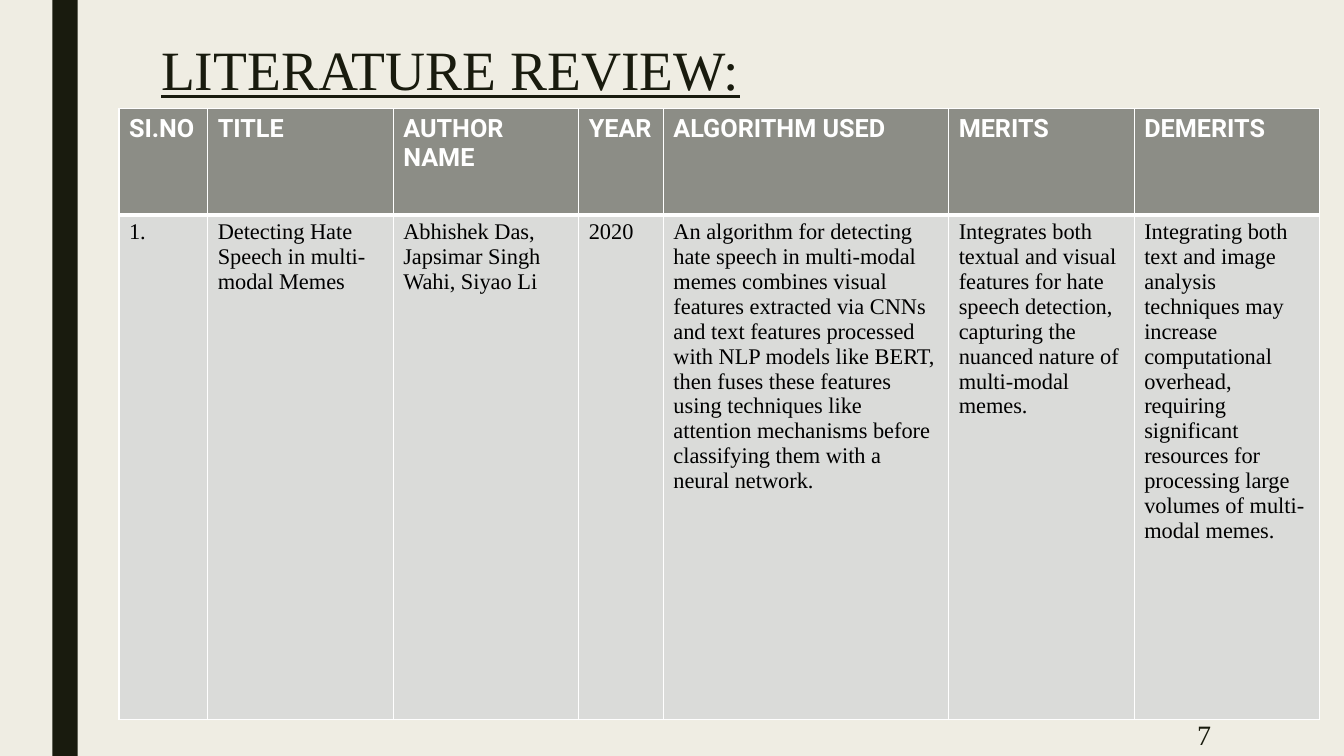
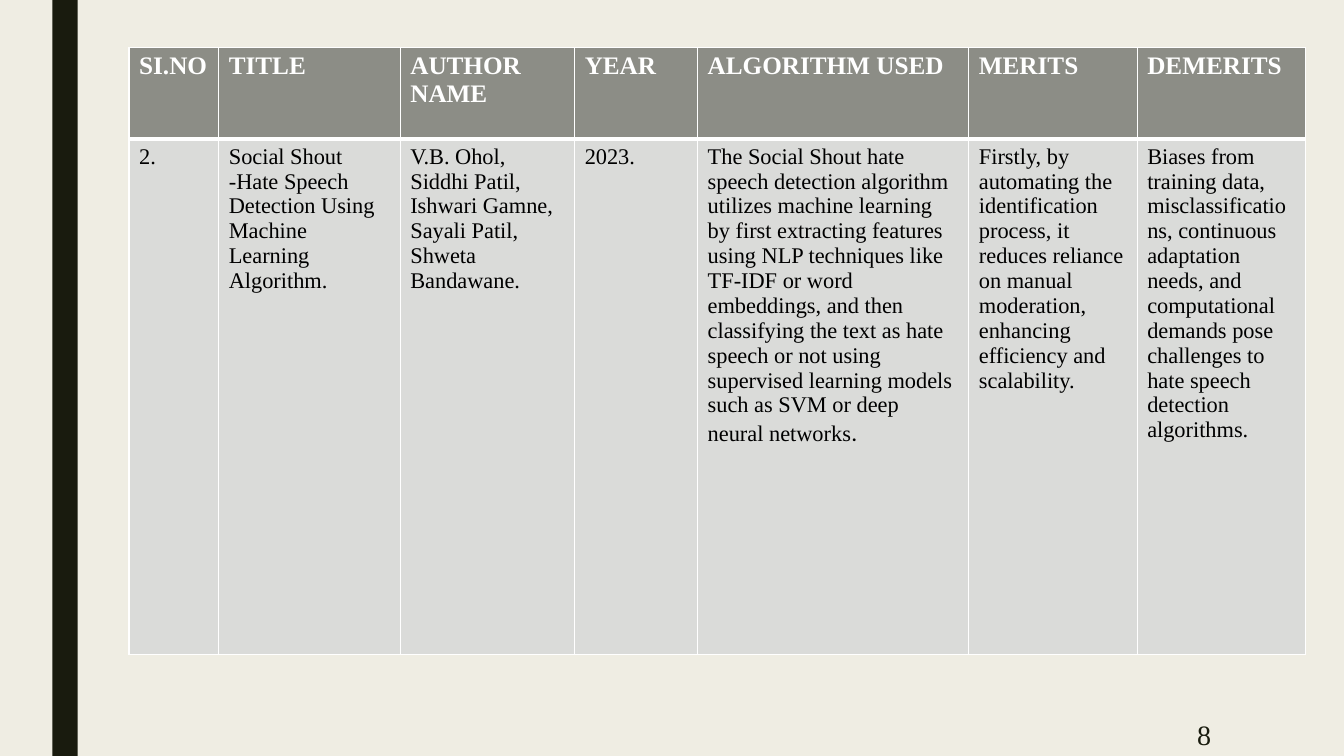
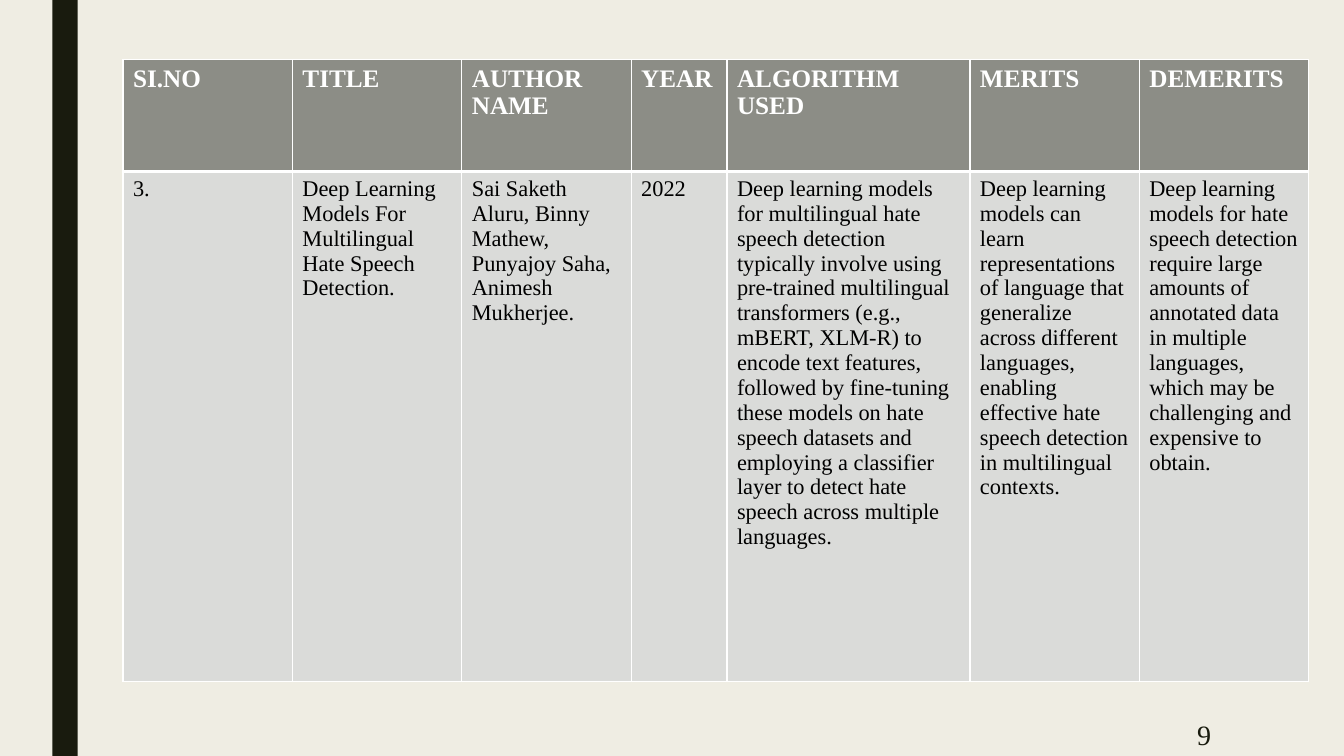
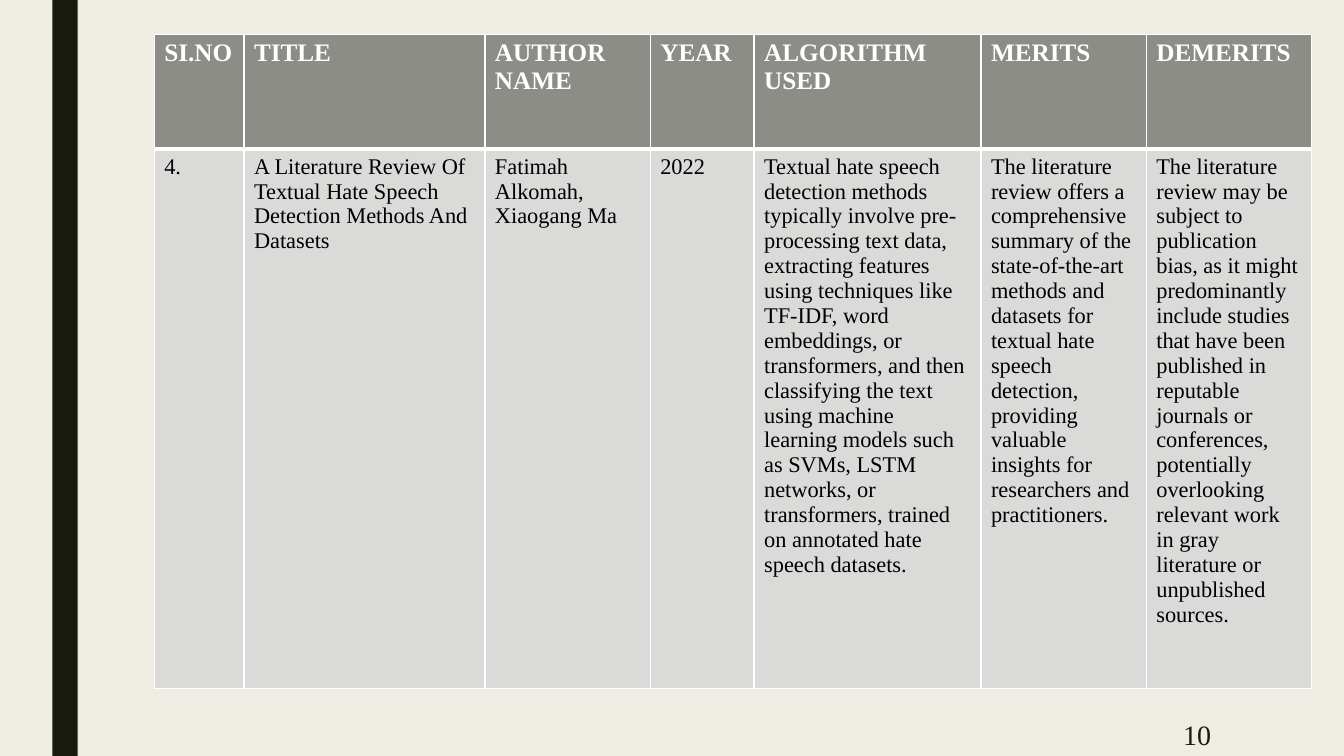
from lxml.etree import SubElement
from pptx import Presentation
from pptx.dml.color import RGBColor
from pptx.enum.shapes import MSO_SHAPE as Shape
from pptx.enum.text import MSO_ANCHOR as Anchor, PP_ALIGN as Align
from pptx.oxml import parse_xml
from pptx.oxml.ns import nsdecls, qn
from pptx.util import Inches, Pt

SERIF, SANS = "Times New Roman", "Roboto"
INK, PAPER, WHITE, BLACK = "191B0E", "EFEDE3", "FFFFFF", "000000"
HEADER_GREY, BODY_GREY = "8C8D86", "DADBD9"

HEADINGS = ["SI.NO", "TITLE", "AUTHOR NAME", "YEAR", "ALGORITHM USED", "MERITS", "DEMERITS"]

REVIEWS = [
    dict(
        title="LITERATURE REVIEW:", page=7, heading_font=SANS, corner=(1.18, 1.08),
        widths=[0.88, 1.84, 1.84, 0.84, 2.83, 1.84, 1.84], heights=[1.05, 5.01],
        study=[
            "1.",
            "Detecting Hate Speech in multi-modal Memes",
            "Abhishek Das, Japsimar Singh Wahi, Siyao Li",
            "2020",
            "An algorithm for detecting hate speech in multi-modal memes combines visual features "
            "extracted via CNNs and text features processed with NLP models like BERT, then fuses "
            "these features using techniques like attention mechanisms before classifying them "
            "with a neural network.",
            "Integrates both textual and visual features for hate speech detection, capturing the "
            "nuanced nature of multi-modal memes.",
            "Integrating both text and image analysis techniques may increase computational "
            "overhead, requiring significant resources for processing large volumes of "
            "multi-modal memes.",
        ],
    ),
    dict(
        title=None, page=8, heading_font=SERIF, corner=(1.28, 0.47),
        widths=[0.89, 1.8, 1.73, 1.22, 2.69, 1.67, 1.67], heights=[0.91, 5.11],
        study=[
            "2.",
            "Social Shout -Hate Speech Detection Using Machine Learning Algorithm.",
            "V.B. Ohol, Siddhi Patil, Ishwari Gamne, Sayali Patil, Shweta Bandawane.",
            "2023.",
            "The Social Shout hate speech detection algorithm utilizes machine learning by first "
            "extracting features using NLP techniques like TF-IDF or word embeddings, and then "
            "classifying the text as hate speech or not using supervised learning models such as "
            "SVM or deep neural networks|.",
            "Firstly, by automating the identification process, it reduces reliance on manual "
            "moderation, enhancing efficiency and scalability.",
            "Biases from training data, misclassifications, continuous adaptation needs, and "
            "computational demands pose challenges to hate speech detection algorithms.",
        ],
    ),
    dict(
        title=None, page=9, heading_font=SERIF, corner=(1.22, 0.59),
        widths=[1.68, 1.68, 1.68, 0.95, 2.41, 1.68, 1.68], heights=[1.11, 5.06],
        study=[
            "3.",
            "Deep Learning Models For Multilingual Hate Speech Detection.",
            "Sai Saketh Aluru, Binny Mathew, Punyajoy Saha, Animesh Mukherjee.",
            "2022",
            "Deep learning models for multilingual hate speech detection typically involve using "
            "pre-trained multilingual transformers (e.g., mBERT, XLM-R) to encode text features, "
            "followed by fine-tuning these models on hate speech datasets and employing a "
            "classifier layer to detect hate speech across multiple languages.",
            "Deep learning models can learn representations of language that generalize across "
            "different languages, enabling effective hate speech detection in multilingual "
            "contexts.",
            "Deep learning models for hate speech detection require large amounts of annotated "
            "data in multiple languages, which may be challenging and expensive to obtain.",
        ],
    ),
    dict(
        title=None, page=10, heading_font=SERIF, corner=(1.53, 0.34),
        widths=[0.89, 2.39, 1.64, 1.03, 2.25, 1.64, 1.64], heights=[1.14, 5.35],
        study=[
            "4.",
            "A Literature Review Of Textual Hate Speech Detection Methods And Datasets",
            "Fatimah Alkomah, Xiaogang Ma",
            "2022",
            "Textual hate speech detection methods typically involve pre-processing text data, "
            "extracting features using techniques like TF-IDF, word embeddings, or transformers, "
            "and then classifying the text using machine learning models such as SVMs, LSTM "
            "networks, or transformers, trained on annotated hate speech datasets.",
            "The literature review offers a comprehensive summary of the state-of-the-art methods "
            "and datasets for textual hate speech detection, providing valuable insights for "
            "researchers and practitioners.",
            "The literature review may be subject to publication bias, as it might predominantly "
            "include studies that have been published in reputable journals or conferences, "
            "potentially overlooking relevant work in gray literature or unpublished sources.",
        ],
    ),
]


def paint(fill, color):
    fill.solid()
    fill.fore_color.rgb = RGBColor.from_string(color)


def write(paragraph, text, color, **style):
    run = paragraph.add_run()
    run.text = text
    for attribute, value in style.items():
        setattr(run.font, attribute, value)
    paint(run.font.fill, color)


prs = Presentation()
prs.slide_width, prs.slide_height = Inches(13.33), Inches(7.5)
paint(prs.slide_master.background.fill, PAPER)

for review in REVIEWS:
    slide = prs.slides.add_slide(prs.slide_layouts[6])

    band = slide.shapes.add_shape(Shape.RECTANGLE, Inches(0.52), 0, Inches(0.25), prs.slide_height)
    band.shadow.inherit = False
    paint(band.fill, INK)
    band.line.fill.background()

    if review["title"]:
        title = slide.shapes.add_textbox(Inches(1.5), Inches(0.36), Inches(10.5), Inches(0.72)).text_frame
        title.word_wrap = True
        title.vertical_anchor = Anchor.MIDDLE
        title.paragraphs[0].line_spacing = 0.89
        write(title.paragraphs[0], review["title"], INK, size=Pt(39.6), name=SERIF, underline=True)

    left, top = review["corner"]
    widths, heights = review["widths"], review["heights"]
    table = slide.shapes.add_table(
        2, len(HEADINGS), Inches(left), Inches(top), Inches(sum(widths)), Inches(sum(heights))
    ).table
    table.horz_banding = False
    for column, width in zip(table.columns, widths):
        column.width = Inches(width)
    for row, height in zip(table.rows, heights):
        row.height = Inches(height)

    bands = [
        (HEADINGS, HEADER_GREY, WHITE, True, 3, [(18, review["heading_font"])]),
        (review["study"], BODY_GREY, BLACK, False, 1, [(16, SERIF), (18, SANS)]),
    ]
    for row, (entries, grey, color, bold, bottom, fonts) in zip(table.rows, bands):
        for cell, entry in zip(row.cells, entries):
            for text, (size, font) in zip(entry.split("|"), fonts):
                write(cell.text_frame.paragraphs[0], text, color, size=Pt(size), name=font, bold=bold)
            paint(cell.fill, grey)
            borders = {"L": 1, "R": 1, "T": 1, "B": bottom}
            for position, (side, weight) in enumerate(borders.items()):
                border = parse_xml(f'<a:ln{side} {nsdecls("a")} w="{Pt(weight)}"/>')
                SubElement(SubElement(border, qn("a:solidFill")), qn("a:srgbClr"), val=WHITE)
                cell._tc.get_or_add_tcPr().insert(position, border)

    page = slide.shapes.add_textbox(Inches(10.36), Inches(7.06), Inches(1.75), Inches(0.44)).text_frame
    page.word_wrap = True
    page.vertical_anchor = Anchor.MIDDLE
    page.paragraphs[0].alignment = Align.RIGHT
    write(page.paragraphs[0], str(review["page"]), INK, size=Pt(20), name=SERIF)

prs.save("out.pptx")
